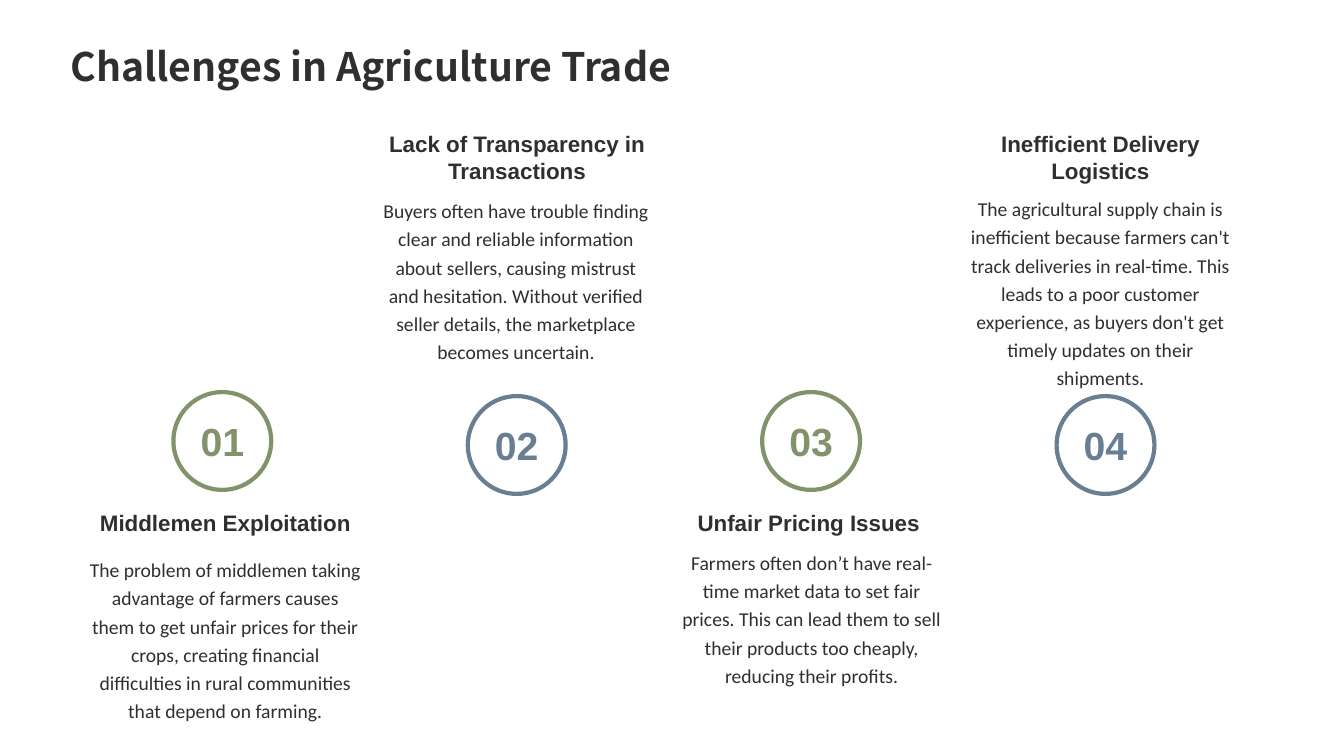
from typing import NamedTuple

from pptx import Presentation
from pptx.dml.color import RGBColor
from pptx.enum.shapes import MSO_SHAPE
from pptx.enum.text import MSO_ANCHOR as Anchor, MSO_AUTO_SIZE as AutoSize, PP_ALIGN as Align
from pptx.util import Inches, Pt

INK = RGBColor(0x2F, 0x2F, 0x2F)
OLIVE = RGBColor(0x82, 0x92, 0x6B)
SLATE = RGBColor(0x68, 0x7E, 0x92)

TITLE_FONT = "Noto Sans CJK SC"
HEADING_FONT = "Arial"
BODY_FONT = "Calibri"

TEXT_LEFT, TEXT_PITCH, TEXT_WIDTH = 0.78, 2.893, 2.91
RING_LEFT, RING_PITCH, RING_SIZE = 1.72, 2.92, 0.97
HEADING_HEIGHT = 0.37
LOWER_ROW = {"color": OLIVE, "ring_top": 3.89, "heading_top": 5}
UPPER_ROW = {"color": SLATE, "ring_top": 3.93, "heading_top": 1.24}


class Challenge(NamedTuple):
    heading: str
    detail: str
    detail_drop: float
    detail_height: float
    detail_shift: float = 0


CHALLENGES = [
    Challenge(
        "Middlemen Exploitation",
        "The problem of middlemen taking advantage of farmers causes them to get "
        "unfair prices for their crops, creating financial difficulties in rural "
        "communities that depend on farming.",
        0.44, 1.78),
    Challenge(
        "Lack of Transparency in Transactions",
        "Buyers often have trouble finding clear and reliable information about "
        "sellers, causing mistrust and hesitation. Without verified seller details, "
        "the marketplace becomes uncertain.",
        0.64, 1.78, -0.01),
    Challenge(
        "Unfair Pricing Issues",
        "Farmers often don’t have real-time market data to set fair prices. This can "
        "lead them to sell their products too cheaply, reducing their profits.",
        0.37, 1.5, 0.03),
    Challenge(
        "Inefficient Delivery Logistics",
        "The agricultural supply chain is inefficient because farmers can't track "
        "deliveries in real-time. This leads to a poor customer experience, as buyers "
        "don't get timely updates on their shipments.",
        0.62, 2.06),
]


def write(frame, text, font, size, color, bold=False, align=Align.CENTER, spacing=None):
    paragraph = frame.paragraphs[0]
    paragraph.alignment = align
    paragraph.line_spacing = spacing
    run = paragraph.add_run()
    run.text = text
    run.font.name = font
    run.font.size = Pt(size)
    run.font.bold = bold
    run.font.color.rgb = color


def add_text_frame(slide, left, top, width, height):
    frame = slide.shapes.add_textbox(*map(Inches, (left, top, width, height))).text_frame
    frame.word_wrap = True
    return frame


def add_title(slide, text):
    frame = add_text_frame(slide, 0.6, 0.24, 11.93, 0.7)
    frame.vertical_anchor = Anchor.BOTTOM
    write(frame, text, TITLE_FONT, 28, INK, bold=True, align=Align.LEFT, spacing=0.9)


def add_number_ring(slide, left, top, number, color):
    ring = slide.shapes.add_shape(
        MSO_SHAPE.OVAL, *map(Inches, (left, top, RING_SIZE, RING_SIZE)))
    ring.shadow.inherit = False
    ring.fill.background()
    ring.line.color.rgb = color
    ring.line.width = Pt(3)
    ring.text_frame.vertical_anchor = Anchor.MIDDLE
    write(ring.text_frame, f"{number:02}", HEADING_FONT, 28, color, bold=True)


def add_challenge(slide, column, challenge):
    row = UPPER_ROW if column % 2 else LOWER_ROW
    add_number_ring(slide, RING_LEFT + column * RING_PITCH, row["ring_top"],
                    column + 1, row["color"])

    left = TEXT_LEFT + column * TEXT_PITCH
    top = row["heading_top"]
    heading = add_text_frame(slide, left, top, TEXT_WIDTH, HEADING_HEIGHT)
    heading.auto_size = AutoSize.SHAPE_TO_FIT_TEXT
    write(heading, challenge.heading, HEADING_FONT, 16, INK, bold=True)

    detail = add_text_frame(slide, left + challenge.detail_shift, top + challenge.detail_drop,
                            TEXT_WIDTH, challenge.detail_height)
    detail.auto_size = AutoSize.SHAPE_TO_FIT_TEXT
    write(detail, challenge.detail, BODY_FONT, 14, INK, spacing=1.2)


def main():
    deck = Presentation()
    deck.slide_width, deck.slide_height = Inches(13.33), Inches(7.5)
    slide = deck.slides.add_slide(deck.slide_layouts[6])
    add_title(slide, "Challenges in Agriculture Trade")
    for column, challenge in enumerate(CHALLENGES):
        add_challenge(slide, column, challenge)
    deck.save("out.pptx")


if __name__ == "__main__":
    main()
